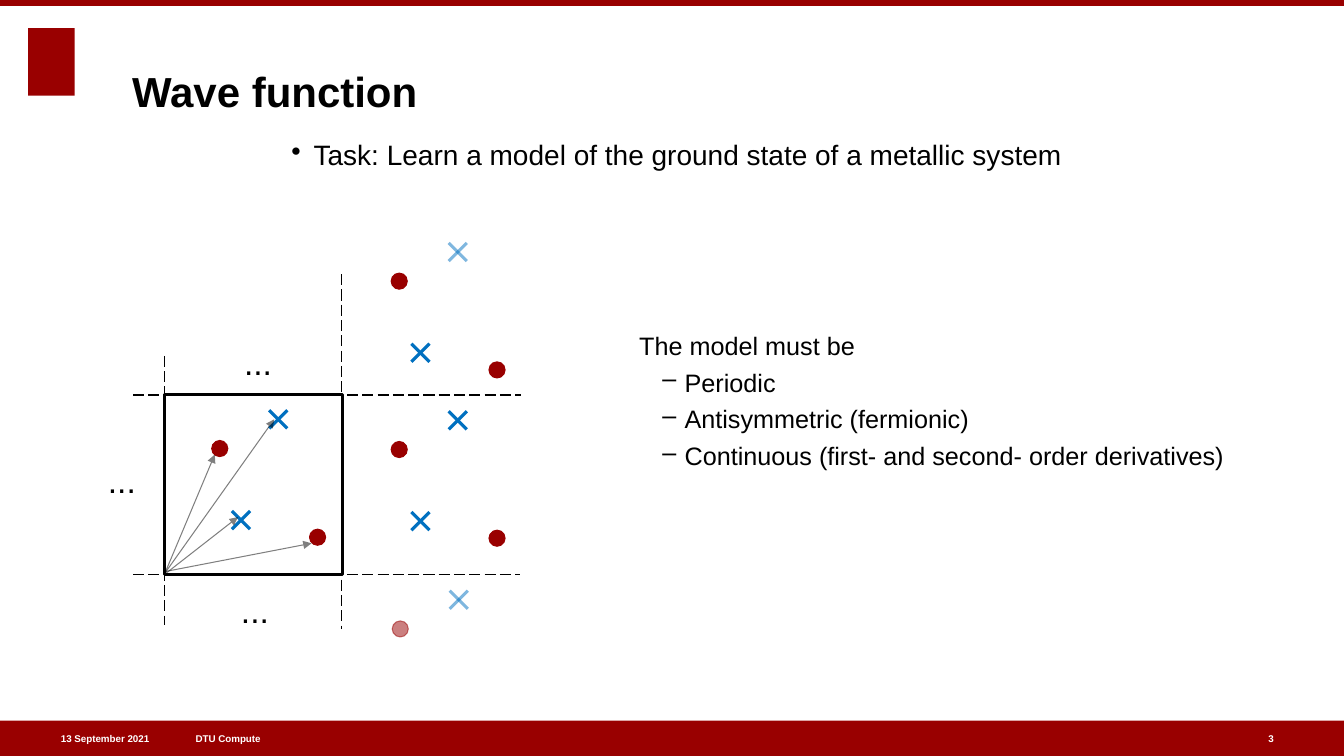
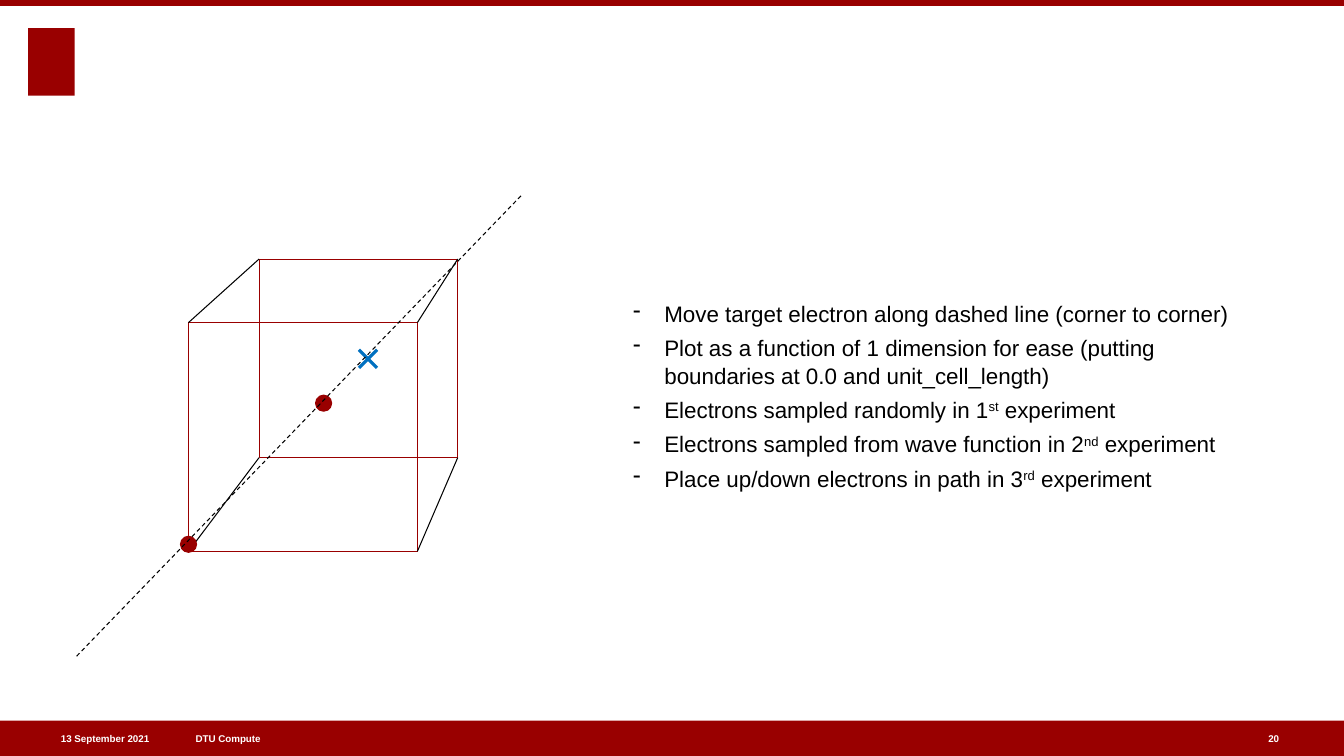
from dataclasses import dataclass

import pptx
import pptx.dml.color
import pptx.enum.dml
import pptx.enum.shapes
import pptx.enum.text
import pptx.oxml
import pptx.oxml.ns
import pptx.util

Inches = pptx.util.Inches
Pt = pptx.util.Pt
qn = pptx.oxml.ns.qn
MSO_SHAPE = pptx.enum.shapes.MSO_SHAPE
ANCHOR = pptx.enum.text.MSO_ANCHOR
ALIGN = pptx.enum.text.PP_ALIGN
DASH = pptx.enum.dml.MSO_LINE


@dataclass(frozen=True)
class Theme:
    font: str = "Arial"
    red: str = "990000"
    blue: str = "0070C0"
    black: str = "000000"
    white: str = "FFFFFF"
    title: float = 30
    dots: float = 24
    task: float = 20
    body: float = 18
    steps: float = 16
    footer: float = 7
    leading: float = 1.05
    thin: float = 0.75
    guide: float = 1
    thick: float = 2.25


T = Theme()
WIDTH, HEIGHT = 13.33, 7.5
FOOTER_TOP, FOOTER_HEIGHT = 7.15, 0.35
MARK = 0.16
CROSS = 0.18


def rgb(color):
    return pptx.dml.color.RGBColor.from_string(color)


def add_child(parent, tag, **attrs):
    child = pptx.oxml.parse_xml(f"<{tag} {pptx.oxml.ns.nsdecls('a')}/>")
    for name, value in attrs.items():
        child.set(name, str(value))
    parent.append(child)


def fade(shape):
    """Make the shape's fill and line half transparent."""
    for color in list(shape._element.spPr.iter(qn("a:srgbClr"))):
        add_child(color, "a:alpha", val=50000)


def add_preset(s, kind, box, fill=None, line=None, weight=T.thin):
    sp = s.shapes.add_shape(kind, *map(Inches, box))
    sp.shadow.inherit = False
    if fill:
        sp.fill.solid()
        sp.fill.fore_color.rgb = rgb(fill)
    else:
        sp.fill.background()
    if line:
        sp.line.color.rgb = rgb(line)
        sp.line.width = Pt(weight)
    else:
        sp.line.fill.background()
    return sp


def add_line(shapes, start, end, color=T.black, weight=T.thin, dash=None,
             arrow=False, faded=False):
    line = shapes.add_connector(pptx.enum.shapes.MSO_CONNECTOR.STRAIGHT,
                                *map(Inches, (*start, *end)))
    line.line.color.rgb = rgb(color)
    line.line.width = Pt(weight)
    if dash:
        line.line.dash_style = dash
    if arrow:
        add_child(line.line._get_or_add_ln(), "a:tailEnd", type="triangle")
    if faded:
        fade(line)
    add_child(line._element.spPr, "a:effectLst")


def add_dot(s, x, y, faded=False):
    dot = add_preset(s, MSO_SHAPE.OVAL, (x - MARK / 2, y - MARK / 2, MARK, MARK),
                     fill=T.red, line=T.red)
    if faded:
        fade(dot)


def add_cross(s, x, y, faded=False):
    group = s.shapes.add_group_shape()
    h = CROSS / 2
    for rise in (h, -h):
        add_line(group.shapes, (x - h, y - rise), (x + h, y + rise),
                 T.blue, T.thick, faded=faded)


def format_frame(tf, anchor=ANCHOR.TOP):
    tf.word_wrap = True
    tf.auto_size = pptx.enum.text.MSO_AUTO_SIZE.NONE
    tf.vertical_anchor = anchor
    tf.margin_left = tf.margin_top = tf.margin_right = tf.margin_bottom = 0


def format_font(p, size, color=T.black, bold=False):
    p.font.name = T.font
    p.font.size = Pt(size)
    p.font.color.rgb = rgb(color)
    p.font.bold = bold


def add_bullet(p, char, left, hanging):
    pPr = p._p.get_or_add_pPr()
    pPr.set("marL", str(Inches(left)))
    pPr.set("indent", str(-Inches(hanging)))
    add_child(pPr, "a:buChar", char=char)


def add_text(s, box, items, size, color=T.black, bold=False, anchor=ANCHOR.TOP,
             align=ALIGN.LEFT, gap=0, bullet=None, intro=False):
    """Each item is a paragraph; in a tuple every second part is superscript.

    bullet is (character, left, hanging); intro leaves the first item without it.
    """
    tf = s.shapes.add_textbox(*map(Inches, box)).text_frame
    format_frame(tf, anchor)
    for i, item in enumerate(items):
        p = tf.paragraphs[0] if i == 0 else tf.add_paragraph()
        parts = (item,) if isinstance(item, str) else item
        for j, part in enumerate(parts):
            r = p.add_run()
            r.text = part
            if j % 2:
                r._r.get_or_add_rPr().set("baseline", "30000")
        if bullet and not (intro and i == 0):
            add_bullet(p, *bullet)
        p.alignment = align
        p.line_spacing = T.leading
        if i:
            p.space_before = Pt(gap)
        format_font(p, size, color, bold)


def add_title(s, text):
    title = s.shapes.title
    title.left, title.top, title.width, title.height = map(
        Inches, (1.31, 0.09, 10.18, 1.06))
    format_frame(title.text_frame, ANCHOR.BOTTOM)
    p = title.text_frame.paragraphs[0]
    p.text = text
    p.alignment = ALIGN.LEFT
    format_font(p, T.title, bold=True)


def add_frame(s, number):
    """Draw the bands, emblem block and footer shared by all slides."""
    for box in ((0.28, 0.28, 0.46, 0.67),
                (0, FOOTER_TOP, WIDTH, FOOTER_HEIGHT),
                (0, 0, WIDTH, 0.06)):
        add_preset(s, MSO_SHAPE.RECTANGLE, box, fill=T.red)
    for left, width, text, align in (
            (0.27, 1.21, "13 September 2021", ALIGN.RIGHT),
            (1.94, 3.72, "DTU Compute", ALIGN.LEFT),
            (12.58, 0.47, str(number), ALIGN.LEFT)):
        add_text(s, (left, FOOTER_TOP, width, FOOTER_HEIGHT), [text], T.footer,
                 T.white, bold=True, anchor=ANCHOR.MIDDLE, align=align)


def add_particles(s, dx, dy, dots=2, faded_dots=0, faded_crosses=0, crosses=2):
    """Place the unit cell's particles, shifted; the first ones may be faded."""
    for i, (x, y) in enumerate(((2.18, 4.45), (3.15, 5.33))[:dots]):
        add_dot(s, x + dx, y + dy, faded=i < faded_dots)
    for i, (x, y) in enumerate(((2.76, 4.16), (2.39, 5.16))[:crosses]):
        add_cross(s, x + dx, y + dy, faded=i < faded_crosses)


def add_lattice(s):
    left, top, right, bottom = 1.63, 3.91, 3.4, 5.7
    add_preset(s, MSO_SHAPE.RECTANGLE, (left, top, right - left, bottom - top),
               line=T.black, weight=T.thick)
    for start, end in (((3.39, 2.72), (3.39, 6.24)),
                       ((1.32, bottom), (5.16, bottom)),
                       ((left, 3.53), (left, 6.2)),
                       ((1.32, 3.92), (5.17, 3.92))):
        add_line(s.shapes, start, end, weight=T.guide, dash=DASH.LONG_DASH)

    add_particles(s, 0, 0)
    for start, end in (((left, bottom), (2.13, 4.51)),
                       ((left, bottom), (2.36, 5.13)),
                       ((1.64, 5.67), (3.09, 5.39)),
                       ((1.64, 5.68), (2.72, 4.16))):
        add_line(s.shapes, start, end, arrow=True, faded=True)
    add_particles(s, 1.79, 1.79, dots=1, crosses=1, faded_dots=1, faded_crosses=1)
    add_particles(s, 1.78, 0.01)
    add_particles(s, 1.78, -1.66, faded_crosses=1)

    for x, y in ((2.42, 3.37), (1.07, 4.54), (2.39, 5.83)):
        add_text(s, (x, y, 0.55, 0.4), ["..."], T.dots)


def add_cube(s):
    front, back = (1.87, 3.2, 2.27), (2.57, 2.57, 1.97)
    for x, y, side in (front, back):
        add_preset(s, MSO_SHAPE.RECTANGLE, (x, y, side, side), line=T.red)
    for i in (0, 1):
        for j in (0, 1):
            start, end = ((x + i * side, y + j * side)
                          for x, y, side in (front, back))
            add_line(s.shapes, start, end)
    add_dot(s, 3.21, 4)
    add_dot(s, 1.87, 5.4)
    add_cross(s, 3.65, 3.56)
    add_line(s.shapes, (0.76, 6.51), (5.17, 1.94), dash=DASH.DASH)


def build_wave_function(prs):
    s = prs.slides.add_slide(prs.slide_layouts.get_by_name("Title Only"))
    add_frame(s, 3)
    add_title(s, "Wave function")
    add_text(s, (2.89, 1.35, 8.35, 0.45),
             ["Task: Learn a model of the ground state of a metallic system"],
             T.task, bullet=("•", 0.22, 0.22))
    add_text(s, (6.34, 3.26, 6.9, 1.96),
             ["The model must be",
              "Periodic",
              "Antisymmetric (fermionic)",
              "Continuous (first- and second- order derivatives)"],
             T.body, gap=3.6, bullet=("–", 0.45, 0.22), intro=True)
    add_lattice(s)


def build_experiments(prs):
    s = prs.slides.add_slide(prs.slide_layouts.get_by_name("Blank"))
    add_frame(s, 20)
    add_cube(s)
    add_text(s, (6.28, 2.96, 6.14, 1.84),
             ["Move target electron along dashed line (corner to corner)",
              "Plot as a function of 1 dimension for ease (putting boundaries "
              "at 0.0 and unit_cell_length)",
              ("Electrons sampled randomly in 1", "st", " experiment"),
              ("Electrons sampled from wave function in 2", "nd", " experiment"),
              ("Place up/down electrons in path in 3", "rd", " experiment")],
             T.steps, gap=4.3, bullet=("-", 0.31, 0.31))


def main():
    prs = pptx.Presentation()
    prs.slide_width, prs.slide_height = Inches(WIDTH), Inches(HEIGHT)
    build_wave_function(prs)
    build_experiments(prs)
    prs.save("out.pptx")


if __name__ == "__main__":
    main()
